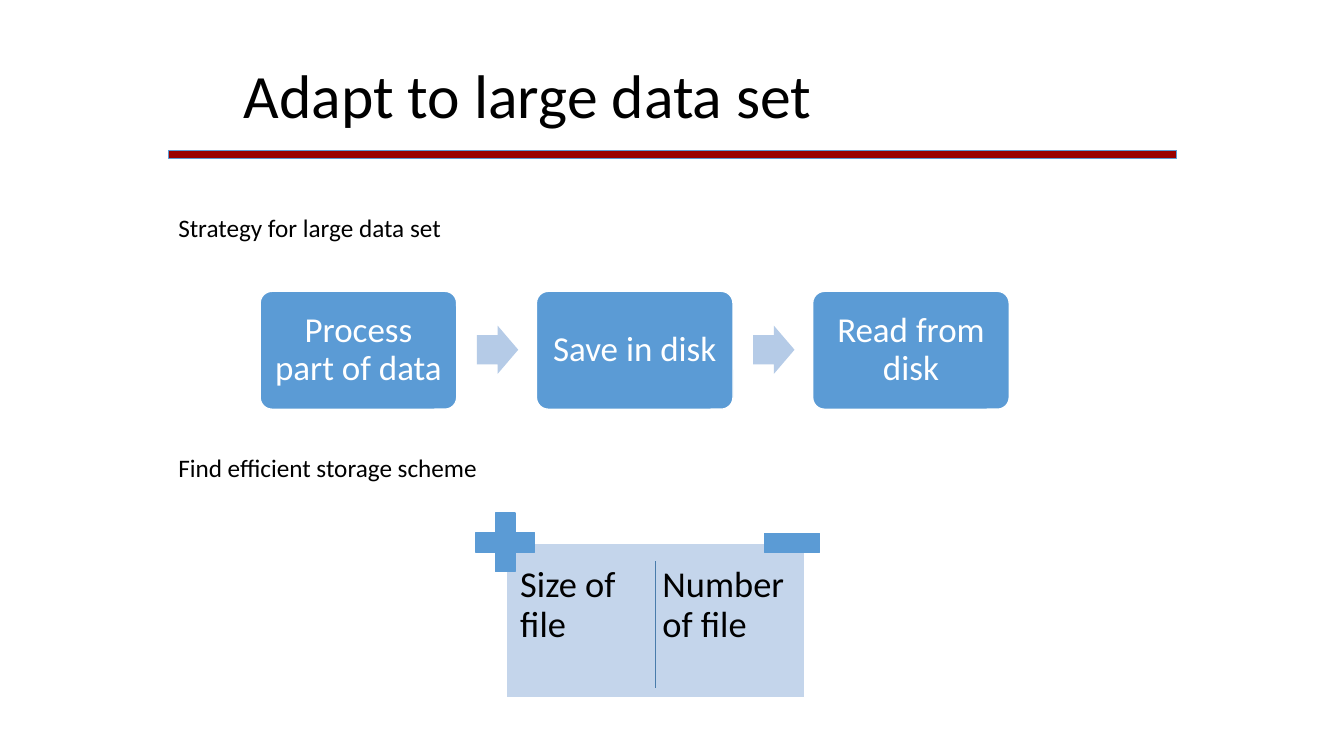
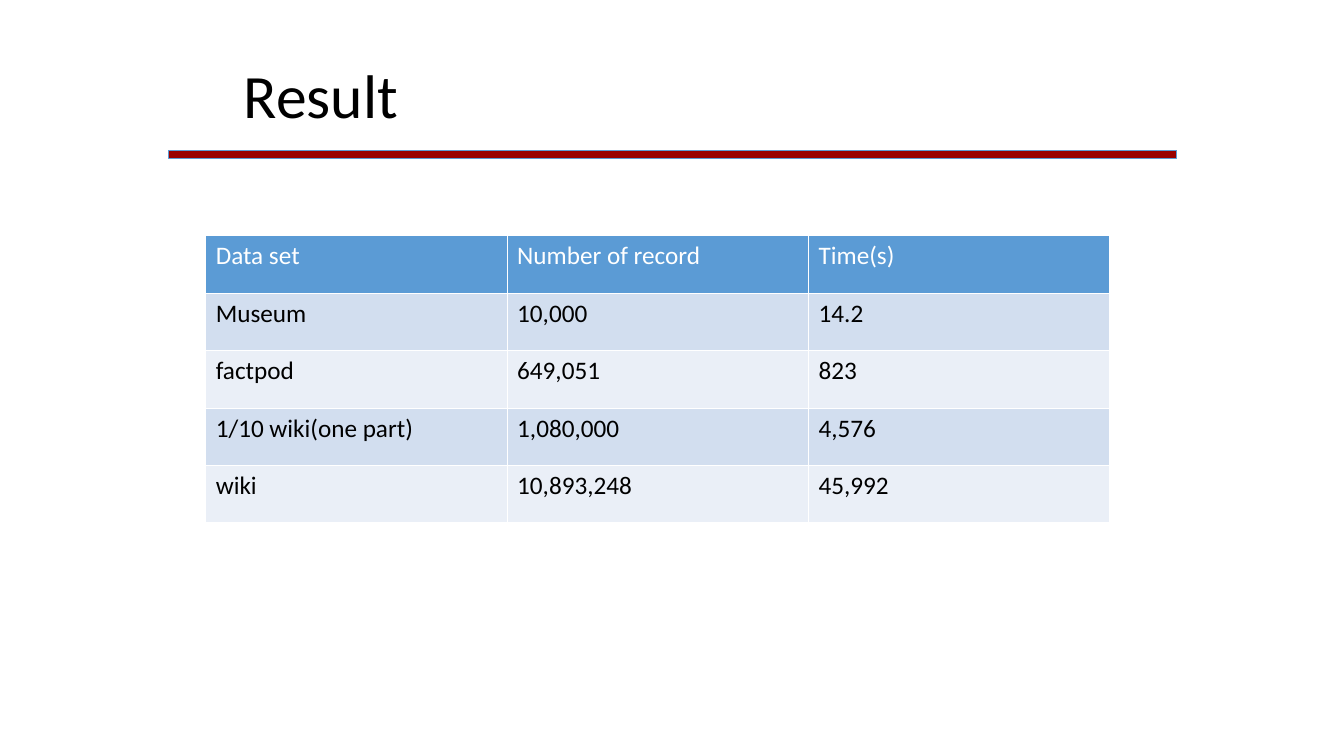
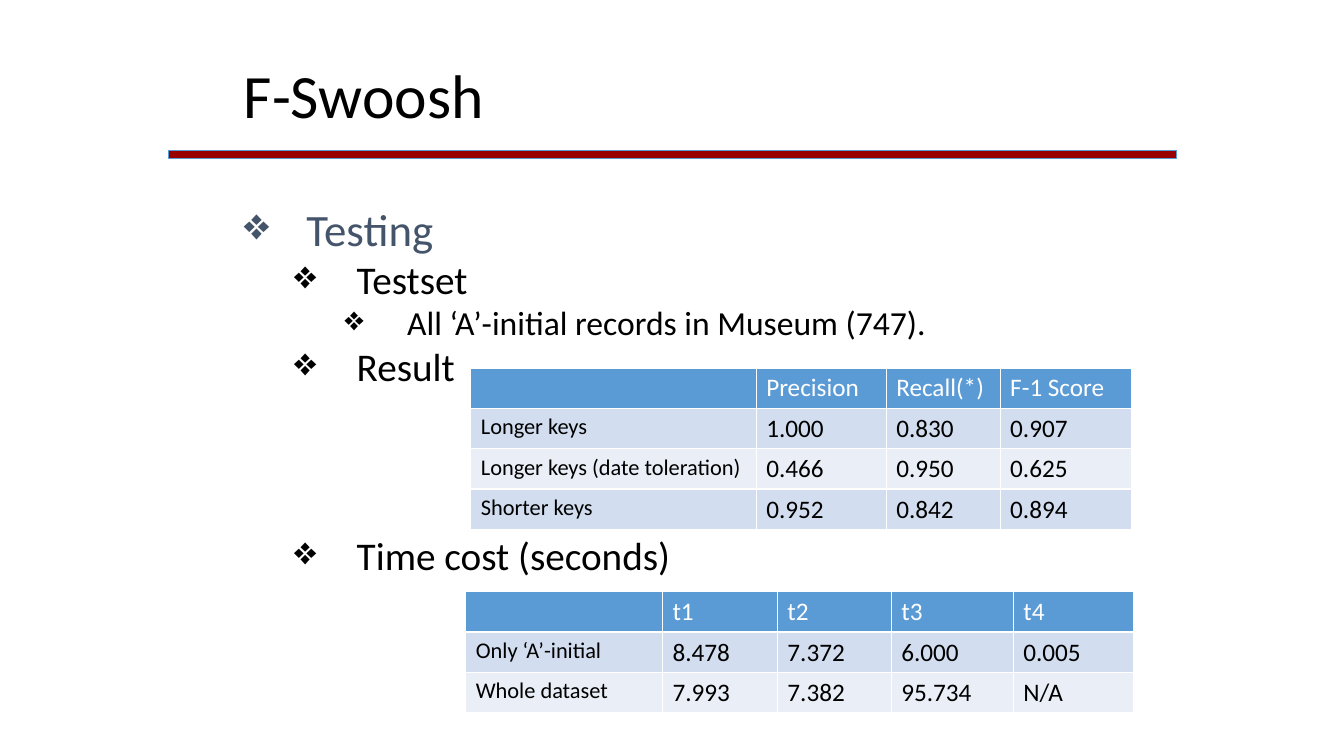
from lxml.etree import SubElement
from pptx import Presentation
from pptx.dml.color import RGBColor
from pptx.enum.shapes import MSO_CONNECTOR, MSO_SHAPE
from pptx.enum.text import MSO_ANCHOR, PP_ALIGN
from pptx.oxml.ns import qn
from pptx.util import Inches, Pt

FONT = "Calibri"
BLACK = RGBColor(0x00, 0x00, 0x00)
WHITE = RGBColor(0xFF, 0xFF, 0xFF)
RED = RGBColor(0x99, 0x00, 0x00)
BLUE = RGBColor(0x5B, 0x9B, 0xD5)
SLATE = RGBColor(0x44, 0x54, 0x6A)
ARROW_BLUE = RGBColor(0xB5, 0xCB, 0xE7)
PANEL_BLUE = RGBColor(0xC4, 0xD5, 0xEB)
DIVIDER_BLUE = RGBColor(0x49, 0x7C, 0xAB)
BANDS = (RGBColor(0xEA, 0xEF, 0xF7), RGBColor(0xD2, 0xDE, 0xEF))


class SlideBuilder:
    def __init__(self):
        self.deck = Presentation()
        self.deck.slide_width = Inches(13.33)
        self.deck.slide_height = Inches(7.5)
        self.page = None

    def start(self, title):
        self.page = self.deck.slides.add_slide(self.deck.slide_layouts[6])
        self.shape(MSO_SHAPE.RECTANGLE, 1.67, 1.49, 10, 0.08, RED, BLUE, 0.5)
        self.text(title, 2.32, 0.52, 7.95, 0.84, 44)

    def style(self, paragraph, size, color):
        for span in paragraph.runs:
            span.font.name = FONT
            span.font.size = Pt(size)
            span.font.bold = False
            span.font.color.rgb = color

    def set_margins(self, frame, inset):
        frame.margin_left = frame.margin_right = Inches(inset)
        frame.margin_top = frame.margin_bottom = Inches(inset)

    def shape(self, kind, left, top, width, height, fill, line=None, weight=1, adjustments=()):
        box = self.page.shapes.add_shape(
            kind, Inches(left), Inches(top), Inches(width), Inches(height))
        box.shadow.inherit = False
        box.fill.solid()
        box.fill.fore_color.rgb = fill
        if line is None:
            box.line.fill.background()
        else:
            box.line.color.rgb = line
            box.line.width = Pt(weight)
        for index, value in enumerate(adjustments):
            box.adjustments[index] = value
        return box

    def text(self, words, left, top, width, height, size, inset=None, spacing=None):
        box = self.page.shapes.add_textbox(
            Inches(left), Inches(top), Inches(width), Inches(height))
        frame = box.text_frame
        frame.word_wrap = True
        frame.text = words
        if inset is not None:
            self.set_margins(frame, inset)
        paragraph = frame.paragraphs[0]
        paragraph.line_spacing = spacing
        self.style(paragraph, size, BLACK)

    def step(self, words, left, top, width, height):
        box = self.shape(MSO_SHAPE.ROUNDED_RECTANGLE, left, top, width, height,
                         BLUE, WHITE, adjustments=(0.1,))
        frame = box.text_frame
        frame.word_wrap = True
        frame.vertical_anchor = MSO_ANCHOR.MIDDLE
        self.set_margins(frame, 0.1)
        frame.text = words
        paragraph = frame.paragraphs[0]
        paragraph.alignment = PP_ALIGN.CENTER
        paragraph.line_spacing = 0.9
        self.style(paragraph, 25, WHITE)

    def line(self, left, top, right, bottom, color):
        connector = self.page.shapes.add_connector(
            MSO_CONNECTOR.STRAIGHT, Inches(left), Inches(top), Inches(right), Inches(bottom))
        connector.line.color.rgb = color
        connector.line.width = Pt(1)
        SubElement(connector._element.spPr, qn("a:effectLst"))

    def bullets(self, items, left, top, width, height):
        box = self.page.shapes.add_textbox(
            Inches(left), Inches(top), Inches(width), Inches(height))
        frame = box.text_frame
        frame.word_wrap = True
        frame.text = "\n".join(words for words, level, gap in items)
        for paragraph, (words, level, gap) in zip(frame.paragraphs, items):
            paragraph.level = level
            paragraph.space_before = Pt(gap)
            self.style(paragraph, 32 - 4 * level, BLACK if level else SLATE)
            properties = paragraph._p.get_or_add_pPr()
            properties.set("marL", str(Inches(0.62 + 0.5 * level)))
            properties.set("indent", str(Inches(-0.62)))
            SubElement(properties, qn("a:buChar")).set("char", "❖")

    def cell_borders(self, cell):
        properties = cell._tc.get_or_add_tcPr()
        for side in ("a:lnL", "a:lnR", "a:lnT", "a:lnB"):
            border = SubElement(properties, qn(side), w=str(Pt(1)))
            fill = SubElement(border, qn("a:solidFill"))
            SubElement(fill, qn("a:srgbClr"), val=str(WHITE))

    def table(self, rows, left, top, widths, row_height, label_size=18):
        frame = self.page.shapes.add_table(
            len(rows), len(widths), Inches(left), Inches(top),
            Inches(sum(widths)), Inches(row_height * len(rows)))
        grid = frame.table
        for column, width in zip(grid.columns, widths):
            column.width = Inches(width)
        for row_index, values in enumerate(rows):
            grid.rows[row_index].height = Inches(row_height)
            for column_index, value in enumerate(values):
                cell = grid.cell(row_index, column_index)
                self.cell_borders(cell)
                cell.fill.solid()
                cell.fill.fore_color.rgb = BANDS[row_index % 2] if row_index else BLUE
                if value:
                    cell.text_frame.text = value
                    is_label = row_index > 0 and column_index == 0
                    self.style(cell.text_frame.paragraphs[0],
                               label_size if is_label else 18,
                               BLACK if row_index else WHITE)


def build_strategy(slides):
    slides.start("Adapt to large data set")
    slides.text("Strategy for large data set", 1.67, 2.06, 5, 0.4, 18)
    steps = ("Process part of data", "Save in disk", "Read from disk")
    for index, words in enumerate(steps):
        left = 2.58 + 2.74 * index
        slides.step(words, left, 2.89, 1.95, 1.17)
        if index < len(steps) - 1:
            slides.shape(MSO_SHAPE.RIGHT_ARROW, left + 2.15, 3.23, 0.41, 0.48,
                         ARROW_BLUE, adjustments=(0.6, 0.5))

    slides.text("Find efficient storage scheme", 1.67, 4.44, 5, 0.4, 18)
    slides.shape(MSO_SHAPE.RECTANGLE, 5.02, 5.39, 2.96, 1.53, PANEL_BLUE, WHITE)
    for left, words in ((5.11, "Size of file"), (6.52, "Number of file")):
        slides.text(words, left, 5.57, 1.38, 1.31, 26, inset=0.05, spacing=0.9)
    slides.shape(MSO_SHAPE.CROSS, 4.72, 5.09, 0.58, 0.58, BLUE, BLUE, adjustments=(0.33,))
    slides.shape(MSO_SHAPE.RECTANGLE, 7.58, 5.29, 0.55, 0.19, BLUE, BLUE)
    slides.line(6.5, 5.57, 6.5, 6.83, DIVIDER_BLUE)


def build_result(slides):
    slides.start("Result")
    slides.table((
        ("Data set", "Number of record", "Time(s)"),
        ("Museum", "10,000", "14.2"),
        ("factpod", "649,051", "823"),
        ("1/10 wiki(one part)", "1,080,000", "4,576"),
        ("wiki", "10,893,248", "45,992"),
    ), 2.04, 2.34, (2.99,) * 3, 0.57)


def build_testing(slides):
    slides.start("F-Swoosh")
    slides.bullets((
        ("Testing", 0, 0),
        ("Testset", 1, 0),
        ("All ‘A’-initial records in Museum (747).", 2, 0),
        ("Result", 1, 0),
        ("Time cost (seconds)", 1, 101),
    ), 2.32, 1.95, 9.14, 5.02)
    slides.table((
        ("", "Precision", "Recall(*)", "F-1 Score"),
        ("Longer keys", "1.000", "0.830", "0.907"),
        ("Longer keys (date toleration)", "0.466", "0.950", "0.625"),
        ("Shorter keys", "0.952", "0.842", "0.894"),
    ), 4.67, 3.65, (2.83, 1.29, 1.13, 1.3), 0.4, label_size=16)
    slides.table((
        ("", "t1", "t2", "t3", "t4"),
        ("Only ‘A’-initial", "8.478", "7.372", "6.000", "0.005"),
        ("Whole dataset", "7.993", "7.382", "95.734", "N/A"),
    ), 4.62, 5.87, (1.95, 1.14, 1.13, 1.21, 1.19), 0.4, label_size=16)


def main():
    slides = SlideBuilder()
    build_strategy(slides)
    build_result(slides)
    build_testing(slides)
    slides.deck.save("out.pptx")


if __name__ == "__main__":
    main()
